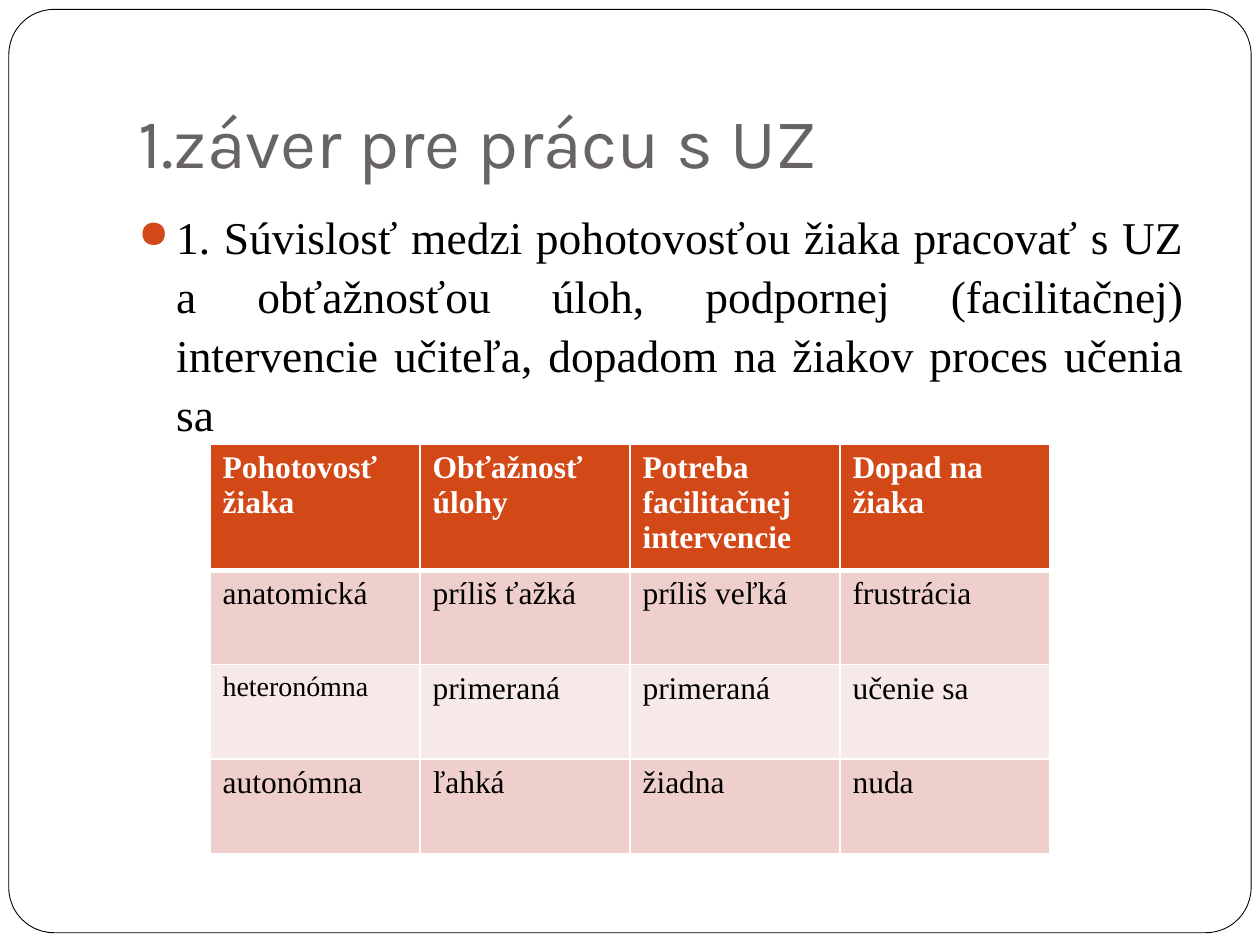
from dataclasses import dataclass

from lxml import etree
from pptx import Presentation
from pptx import util as u
from pptx.dml.color import RGBColor
from pptx.enum import shapes, text
from pptx.oxml import ns

WIDTH, HEIGHT = u.Inches(10), u.Inches(7.5)


@dataclass(frozen=True)
class Theme:
    title_font: str = "Karla"
    body_font: str = "Times New Roman"
    title_size: float = 40
    body_size: float = 26
    table_size: float = 18
    small_size: float = 16
    white: str = "FFFFFF"
    black: str = "000000"
    gray: str = "696464"
    accent: str = "D34817"
    bands: tuple = ("EFCFCC", "F7E9E8")


THEME = Theme()

TABLE_ROWS = [
    ["Pohotovosť žiaka", "Obťažnosť úlohy",
     "Potreba facilitačnej intervencie", "Dopad na žiaka"],
    ["anatomická", "príliš ťažká", "príliš veľká", "frustrácia"],
    ["heteronómna", "primeraná", "primeraná", "učenie sa"],
    ["autonómna", "ľahká", "žiadna", "nuda"],
]
SMALL_WORDS = {"heteronómna"}


def share(left, top, width, height):
    """Turn shares of the slide's size into lengths."""
    return (u.Emu(int(WIDTH * left)), u.Emu(int(HEIGHT * top)),
            u.Emu(int(WIDTH * width)), u.Emu(int(HEIGHT * height)))


def color(value):
    return RGBColor.from_string(value)


def add_element(parent, tag, **attributes):
    element = etree.SubElement(parent, ns.qn(tag))
    for name, value in attributes.items():
        element.set(name, str(value))
    return element


def add_bullet(paragraph, character, fill, percent, indent):
    properties = paragraph._p.get_or_add_pPr()
    properties.set("marL", str(indent))
    properties.set("indent", str(-indent))
    bullet_color = add_element(properties, "a:buClr")
    add_element(bullet_color, "a:srgbClr", val=fill)
    add_element(properties, "a:buSzPct", val=percent * 1000)
    add_element(properties, "a:buChar", char=character)


def write(frame, content, *, size, font=THEME.body_font, fill=THEME.black,
          bold=False, align=text.PP_ALIGN.LEFT, anchor=text.MSO_ANCHOR.TOP,
          line_spacing=None, bullet=None):
    frame.word_wrap = True
    frame.vertical_anchor = anchor
    paragraph = frame.paragraphs[0]
    paragraph.alignment = align
    if line_spacing:
        paragraph.line_spacing = line_spacing
    if bullet:
        add_bullet(paragraph, **bullet)
    run = paragraph.add_run()
    run.text = content
    run.font.name = font
    run.font.size = u.Pt(size)
    run.font.bold = bold
    run.font.color.rgb = color(fill)


def add_text(slide, area, content, **style):
    frame = slide.shapes.add_textbox(*share(*area)).text_frame
    write(frame, content, **style)
    return frame


def add_border(slide):
    shape = slide.shapes.add_shape(shapes.MSO_SHAPE.ROUNDED_RECTANGLE,
                                   *share(0.007, 0.01, 0.986, 0.977))
    shape.adjustments[0] = 0.049
    shape.shadow.inherit = False
    shape.fill.solid()
    shape.fill.fore_color.rgb = color(THEME.white)
    shape.line.color.rgb = color(THEME.black)
    shape.line.width = u.Pt(0.5)


def set_cell_borders(cell, bottom_width):
    properties = cell._tc.get_or_add_tcPr()
    widths = {"a:lnL": 1, "a:lnR": 1, "a:lnT": 1, "a:lnB": bottom_width}
    for tag, width in widths.items():
        line = add_element(properties, tag, w=u.Pt(width))
        add_element(add_element(line, "a:solidFill"), "a:srgbClr",
                    val=THEME.white)


def add_readiness_table(slide, rows):
    area = share(1 / 6, 0.47, 2 / 3, 0.428)
    table = slide.shapes.add_table(len(rows), len(rows[0]), *area).table
    for column in table.columns:
        column.width = area[2] // len(rows[0])
    for index, values in enumerate(rows):
        header = index == 0
        table.rows[index].height = u.Inches(0.96 if header else 0.75)
        background = THEME.accent if header else THEME.bands[(index - 1) % 2]
        for cell, value in zip(table.rows[index].cells, values):
            # Borders come before the fill in the cell's properties
            set_cell_borders(cell, bottom_width=3 if header else 1)
            cell.fill.solid()
            cell.fill.fore_color.rgb = color(background)
            size = (THEME.small_size if value in SMALL_WORDS
                    else THEME.table_size)
            write(cell.text_frame, value, size=size, bold=header,
                  fill=THEME.white if header else THEME.black)


def main():
    presentation = Presentation()
    presentation.slide_width, presentation.slide_height = WIDTH, HEIGHT
    slide = presentation.slides.add_slide(presentation.slide_layouts[6])

    # Page frame
    add_border(slide)

    # Title
    title = add_text(slide, (0.1, 0.04, 0.85, 1 / 6), "1.záver pre prácu s UZ",
                     size=THEME.title_size, font=THEME.title_font,
                     fill=THEME.gray, anchor=text.MSO_ANCHOR.BOTTOM)
    title.margin_bottom = u.Inches(0.1)

    # Conclusion
    add_text(slide, (0.1, 0.21, 0.85, 2 / 3),
             "1. Súvislosť medzi pohotovosťou žiaka pracovať s UZ a "
             "obťažnosťou úloh, podpornej (facilitačnej) intervencie učiteľa, "
             "dopadom na žiakov proces učenia sa",
             size=THEME.body_size, align=text.PP_ALIGN.JUSTIFY,
             line_spacing=1.08,
             bullet=dict(character="●", fill=THEME.accent, percent=85,
                         indent=u.Inches(0.3)))

    # Readiness table
    add_readiness_table(slide, TABLE_ROWS)

    presentation.save("out.pptx")


if __name__ == "__main__":
    main()
